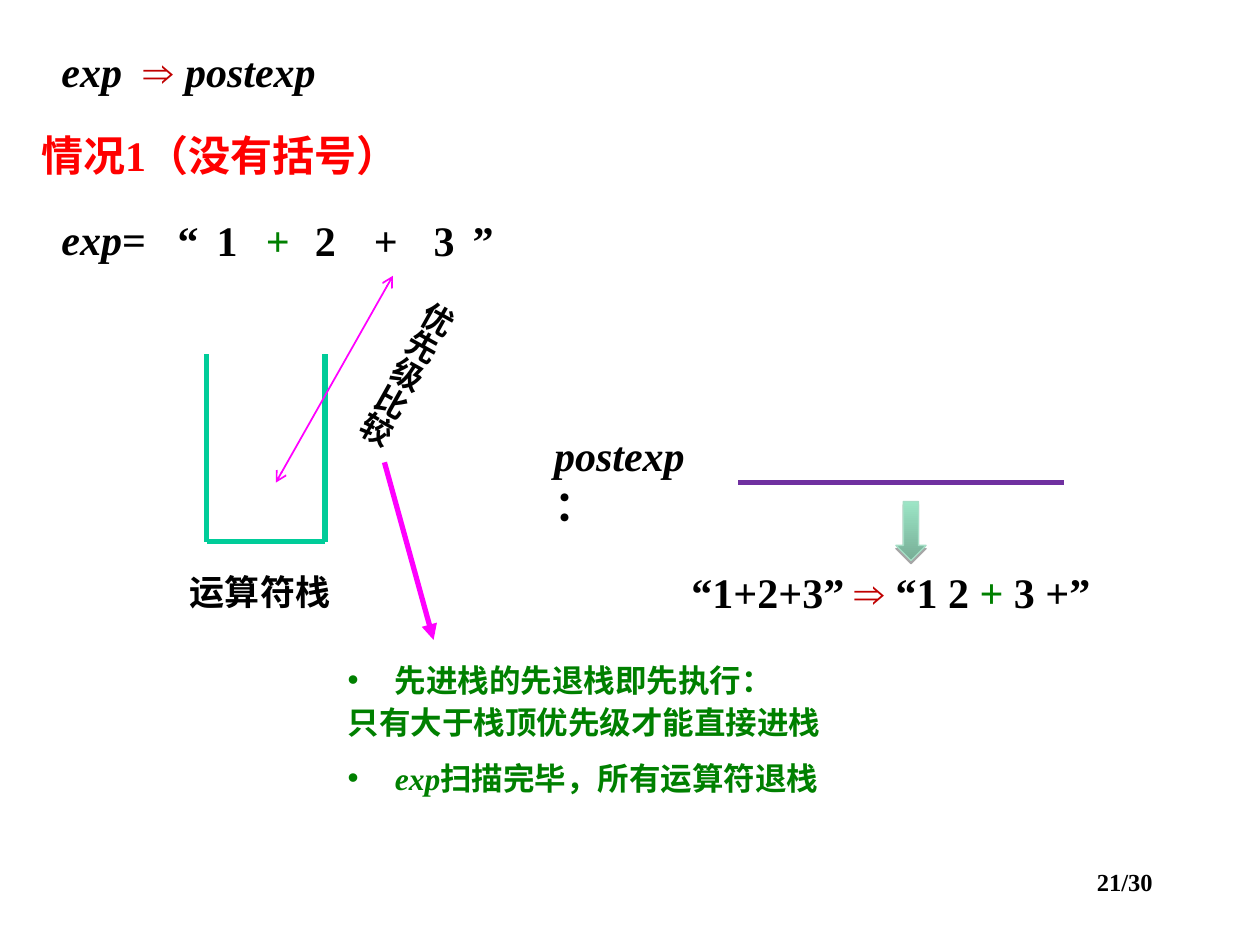
from lxml.etree import SubElement as Sub
from pptx import Presentation
from pptx.dml.color import RGBColor as RGB
from pptx.enum.shapes import MSO_CONNECTOR as Conn, MSO_SHAPE as Form
from pptx.enum.text import PP_ALIGN as Align
from pptx.oxml.ns import qn
from pptx.util import Cm, Pt

TIMES, HAN, ARIAL = "Times New Roman", "Noto Sans CJK SC", "Arial"
BLACK, RED, GREEN, PINK = "000000", "C00000", "008000", "FF00FF"
SIDES = ("left", "top", "right", "bottom")


def color(code):
    return RGB.from_string(code)


class Page:
    """Holds the text style and the current slide."""

    base = {"name": TIMES, "size": 24, "bold": True, "italic": False}

    def __init__(self, deck):
        self.slide = deck.slides.add_slide(deck.slide_layouts[6])
        self.shapes = self.slide.shapes

    def run(self, para, text, code=BLACK, **style):
        run = para.add_run()
        run.text = text
        look = {**self.base, **style}
        look["size"] = Pt(look["size"])
        for key, value in look.items():
            setattr(run.font, key, value)
        run.font.color.rgb = color(code)
        if max(text) >= "⺀":
            Sub(run._r.get_or_add_rPr(), qn("a:ea"), typeface=HAN)

    def text(self, box, *paras, pad=(0.25, 0.13), align=Align.LEFT, gap=None):
        """Each paragraph is a list of (text, colour, style) runs."""
        shape = self.shapes.add_textbox(*map(Cm, box))
        frame = shape.text_frame
        frame.word_wrap = True
        for side, size in zip(SIDES, pad * 2):
            setattr(frame, "margin_" + side, Cm(size))
        for num, runs in enumerate(paras):
            para = frame.add_paragraph() if num else frame.paragraphs[0]
            para.alignment = align
            if gap:
                para.line_spacing = Pt(gap)
            for text, code, style in runs:
                self.run(para, text, code, **style)
        return shape

    def bullet(self, para):
        props = para._p.get_or_add_pPr()
        props.set("marL", str(Cm(0.95)))
        props.set("indent", str(-Cm(0.95)))
        Sub(props, qn("a:buFont"), typeface=ARIAL)
        Sub(props, qn("a:buChar"), char="•")

    def line(self, start, end, code, width=3, head=None, tail=None):
        line = self.shapes.add_connector(Conn.STRAIGHT, *map(Cm, start + end))
        line.line.color.rgb = color(code)
        line.line.width = Pt(width)
        for tag, kind in (("a:headEnd", head), ("a:tailEnd", tail)):
            if kind:
                Sub(line.line._get_or_add_ln(), qn(tag), type=kind)
        Sub(line._element.spPr, qn("a:effectLst"))

    def arrow(self, box, low, high, edge):
        shape = self.shapes.add_shape(Form.DOWN_ARROW, *map(Cm, box))
        shape.fill.gradient()
        shape.fill.gradient_angle = 90
        for stop, code in zip(shape.fill.gradient_stops, (low, high)):
            stop.color.rgb = color(code)
        shape.line.color.rgb = color(edge)
        shape.line.width = Pt(0.75)
        # Soft shadow straight below
        shape.shadow.inherit = False
        glow = Sub(shape._element.spPr.find(qn("a:effectLst")),
                   qn("a:outerShdw"), dist=str(Pt(1.8)), dir="5400000",
                   rotWithShape="0")
        tint = Sub(glow, qn("a:srgbClr"), val=BLACK)
        Sub(tint, qn("a:alpha"), val="35000")


def main():
    deck = Presentation()
    deck.slide_width, deck.slide_height = Cm(25.4), Cm(19.05)
    page = Page(deck)
    slant = {"italic": True}
    sign = {"name": ARIAL}
    note = {"name": HAN, "size": 18}

    # Page number and headings
    page.text((18.21, 17.35, 5.28, 1.27), [("21/30", BLACK, {"size": 14})],
              align=Align.RIGHT)
    page.text((0.99, 0.79, 6.93, 1.27), [
        ("exp  ", BLACK, slant), ("⇒ ", RED, sign), ("postexp", BLACK, slant)])
    page.text((0.58, 2.49, 8.53, 1.27), [("情况1（没有括号）", "FF0000", {})])

    # Infix expression, one box per symbol
    page.text((0.99, 4.17, 2.59, 1.27), [("exp", BLACK, slant), ("=", BLACK, {})])
    lefts = (3.58, 4.37, 5.36, 6.35, 7.54, 8.74, 9.53)
    for num, (left, mark) in enumerate(zip(lefts, "“1+2+3”")):
        code = GREEN if num == 2 else BLACK
        page.text((left, 4.32, 1.19, 1.02), [(mark, code, {})], pad=(0, 0))

    # Operator stack
    west, east, top, base = 4.17, 6.55, 7.14, 10.92
    for start, end in (((west, top), (west, base)), ((east, top), (east, base)),
                       ((west, base), (east, base))):
        page.line(start, end, "00CC99")
    page.text((3.58, 11.38, 3.58, 1.12),
              [("运算符栈", BLACK, {"name": HAN, "size": 20})])

    # Priority comparison
    page.line((7.92, 5.56), (5.56, 9.73), PINK, 1, "arrow", "arrow")
    tilt = page.text((7.24, 5.59, 1.27, 4.57), [("优先级比较", BLACK, note)],
                     pad=(0.13, 0.25))
    tilt.rotation = 29.1
    tilt.text_frame._txBody.bodyPr.set("vert", "eaVert")
    page.line((7.75, 9.32), (8.74, 12.9), PINK, tail="triangle")

    # Postfix result
    page.text((10.92, 8.53, 3.96, 1.27),
              [("postexp", BLACK, slant), ("：", BLACK, {})])
    page.line((14.88, 9.73), (21.44, 9.73), "7030A0")
    page.arrow((18.06, 10.11, 0.61, 1.19), "77AE96", "9CE5C6", "A5DEC6")
    page.text((13.69, 11.3, 10.72, 1.27), [
        ("“1+2+3” ", BLACK, {}), ("⇒", RED, sign), (" “1 2 ", BLACK, {}),
        ("+", GREEN, {}), (" 3 +”", BLACK, {})])

    # Rules
    rules = (
        page.text((6.76, 13.11, 12.29, 1.96),
                  [("先进栈的先退栈即先执行：", GREEN, note)],
                  [("只有大于栈顶优先级才能直接进栈", GREEN, note)], gap=24),
        page.text((6.76, 15.09, 12.29, 1.12),
                  [("exp", GREEN, {"size": 18, "italic": True}),
                   ("扫描完毕，所有运算符退栈", GREEN, note)], gap=24))
    for rule in rules:
        page.bullet(rule.text_frame.paragraphs[0])

    deck.save("out.pptx")


if __name__ == "__main__":
    main()
